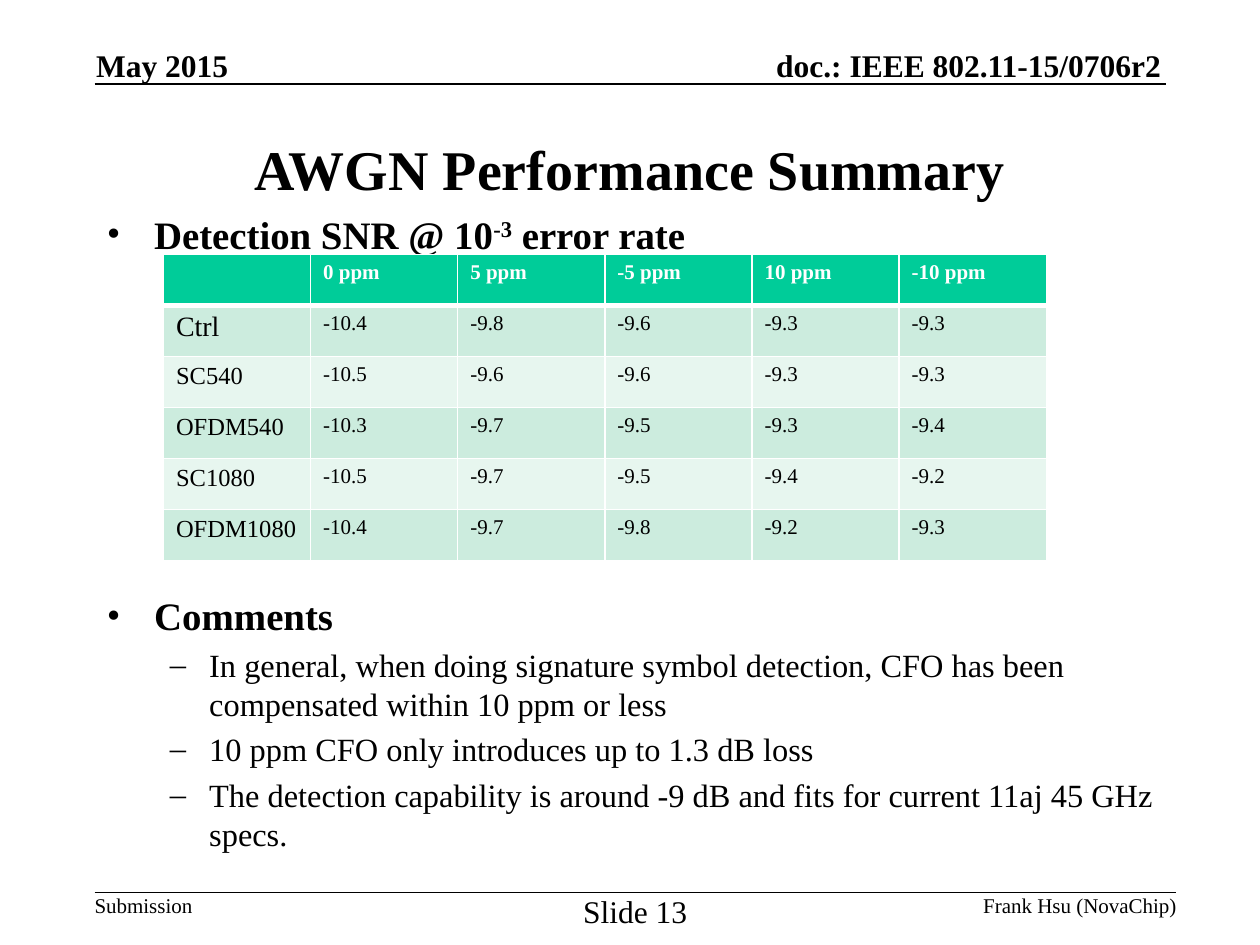
from lxml.etree import SubElement
from pptx import Presentation
from pptx.dml.color import RGBColor
from pptx.enum.shapes import MSO_CONNECTOR
from pptx.enum.text import MSO_ANCHOR, PP_ALIGN
from pptx.oxml.ns import qn
from pptx.util import Pt

FONT = "Times New Roman"
HUES = {
    "ink": "000000",
    "paper": "FFFFFF",
    "head": "00CC99",
    "odd": "CCECDE",
    "even": "E7F6EF",
}
HEAD = ["", "0 ppm", "5 ppm", "-5 ppm", "10 ppm", "-10 ppm"]
ROWS = [
    ["Ctrl", "-10.4", "-9.8", "-9.6", "-9.3", "-9.3"],
    ["SC540", "-10.5", "-9.6", "-9.6", "-9.3", "-9.3"],
    ["OFDM540", "-10.3", "-9.7", "-9.5", "-9.3", "-9.4"],
    ["SC1080", "-10.5", "-9.7", "-9.5", "-9.4", "-9.2"],
    ["OFDM1080", "-10.4", "-9.7", "-9.8", "-9.2", "-9.3"],
]
NOTES = [
    "In general, when doing signature symbol detection, CFO has been "
    "compensated within 10 ppm or less",
    "10 ppm CFO only introduces up to 1.3 dB loss",
    "The detection capability is around -9 dB and fits for current "
    "11aj 45 GHz specs.",
]


def hue(name):
    """Return the named colour."""
    return RGBColor.from_string(HUES[name])


def style(run, size, bold=False, ink="ink"):
    """Set the font of a run."""
    font = run.font
    font.name, font.size, font.bold = FONT, Pt(size), bold
    font.color.rgb = hue(ink)


def add_frame(slide, box, anchor=MSO_ANCHOR.TOP, pad=(0, 0), wrap=False):
    """Add a text box and return its text frame."""
    frame = slide.shapes.add_textbox(*map(Pt, box)).text_frame
    frame.word_wrap, frame.vertical_anchor = wrap, anchor
    frame.margin_left = frame.margin_right = Pt(pad[0])
    frame.margin_top = frame.margin_bottom = Pt(pad[1])
    return frame


def add_label(slide, text, box, size, bold=False, align=PP_ALIGN.LEFT,
              anchor=MSO_ANCHOR.TOP):
    """Add a single line of text."""
    frame = add_frame(slide, box, anchor)
    frame.text = text
    para = frame.paragraphs[0]
    para.alignment = align
    style(para.runs[0], size, bold)


def add_rule(slide, left, right, top):
    """Add a thin level line."""
    rule = slide.shapes.add_connector(
        MSO_CONNECTOR.STRAIGHT, Pt(left), Pt(top), Pt(right), Pt(top))
    rule.line.color.rgb, rule.line.width = hue("ink"), Pt(1)
    SubElement(rule._element.spPr, qn("a:effectLst"))


def add_point(para, parts, level=0, gap=0):
    """Fill a paragraph as a bullet point of the given level."""
    left, hang, mark, size = [(27, 27, "•", 22.2), (58.5, 22.5, "–", 18.5)][level]
    props = para._p.get_or_add_pPr()
    props.set("marL", str(Pt(left)))
    props.set("indent", str(-Pt(hang)))
    SubElement(props, qn("a:buFont"), typeface=FONT)
    SubElement(props, qn("a:buChar"), char=mark)
    para.level, para.space_before = level, Pt(gap)
    for part in parts:
        run = para.add_run()
        run.text = part
        style(run, size, level == 0)


def add_body(slide):
    """Add the bullet points, leaving room for the table."""
    frame = add_frame(slide, (54, 116.6, 612, 363), pad=(7.2, 3.6), wrap=True)
    first = frame.paragraphs[0]
    add_point(first, ["Detection SNR @ 10", "-3", " error rate"])
    first.runs[1]._r.get_or_add_rPr().set("baseline", "30000")
    add_point(frame.add_paragraph(), ["Comments"], gap=191.5)
    for note in NOTES:
        add_point(frame.add_paragraph(), [note], level=1, gap=3.7)


def edge_cell(cell, base):
    """Draw white borders round a cell, the bottom one of width base."""
    props = cell._tc.get_or_add_tcPr()
    for spot, (side, width) in enumerate(
            [("lnL", 1), ("lnR", 1), ("lnT", 1), ("lnB", base)]):
        line = SubElement(props, qn(f"a:{side}"), w=str(Pt(width)))
        fill = SubElement(line, qn("a:solidFill"))
        SubElement(fill, qn("a:srgbClr"), val=HUES["paper"])
        props.insert(spot, line)


def add_grid(slide):
    """Add the table of detection levels."""
    data = [HEAD] + ROWS
    grid = slide.shapes.add_table(
        len(data), len(HEAD), Pt(93.4), Pt(145.4), Pt(504.6), Pt(175)).table
    for r, row in enumerate(data):
        tone = "head" if r == 0 else "odd" if r % 2 else "even"
        for c, text in enumerate(row):
            cell = grid.cell(r, c)
            cell.fill.solid()
            cell.fill.fore_color.rgb = hue(tone)
            edge_cell(cell, 3 if r == 0 else 1)
            cell.text = text
            size = 12 if c else 16 if r == 1 else 14
            for run in cell.text_frame.paragraphs[0].runs:
                style(run, size, r == 0, "ink" if r else "paper")


def main():
    """Build the slide and save it."""
    deck = Presentation()
    deck.slide_width, deck.slide_height = Pt(720), Pt(540)
    slide = deck.slides.add_slide(deck.slide_layouts[6])
    right, mid = PP_ALIGN.RIGHT, PP_ALIGN.CENTER
    low = MSO_ANCHOR.BOTTOM
    add_label(slide, "doc.: IEEE 802.11-15/0706r2", (405, 26.4, 258.5, 21.6),
              18, True, right, low)
    add_rule(slide, 54, 666, 48)
    add_label(slide, "Submission", (54, 510, 56, 14.4), 12)
    add_rule(slide, 54, 672, 510)
    add_label(slide, "AWGN Performance Summary", (54, 54, 612, 84), 32,
              True, mid, MSO_ANCHOR.MIDDLE)
    add_body(slide)
    add_grid(slide)
    add_label(slide, "May 2015", (55, 26.4, 76.3, 21.6), 18, True, anchor=low)
    add_label(slide, "Slide 13", (328, 510, 70, 21.6), 18, align=mid)
    add_label(slide, "Frank Hsu (NovaChip)", (557.5, 510, 115, 14.4), 12,
              align=right)
    deck.save("out.pptx")


if __name__ == "__main__":
    main()
